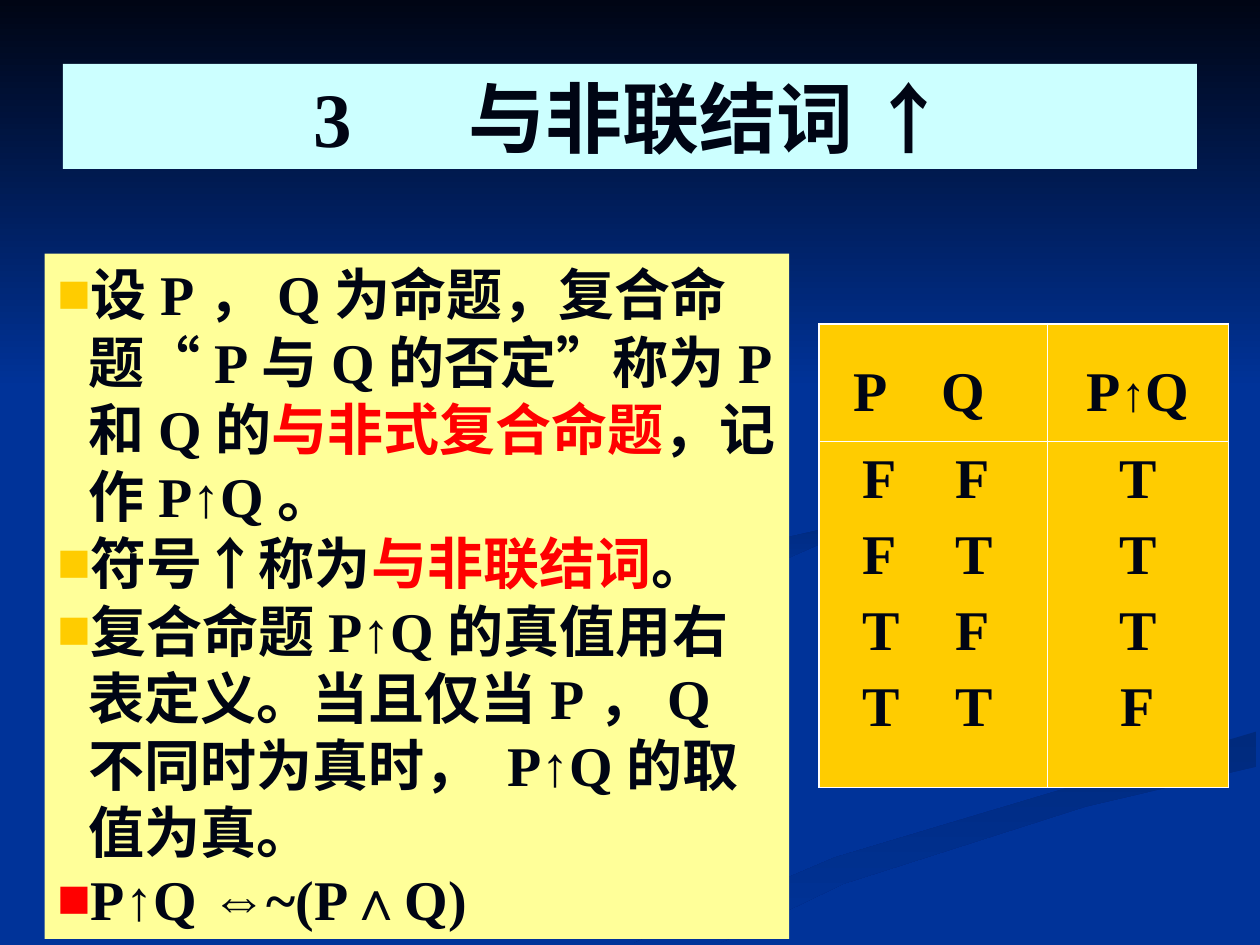
"""Build the slide on the NAND connective, with its definition and truth table."""
from lxml import etree
from pptx import Presentation
from pptx.dml.color import RGBColor
from pptx.enum import shapes, text
from pptx.oxml import ns
from pptx.util import Pt

NAVY = RGBColor(0x00, 0x33, 0x99)
INK = RGBColor(0x00, 0x05, 0x14)
RED = RGBColor(0xFF, 0x00, 0x00)
GOLD = RGBColor(0xFF, 0xCC, 0x00)
PALE_YELLOW = RGBColor(0xFF, 0xFF, 0x99)
PALE_CYAN = RGBColor(0xCC, 0xFF, 0xFF)
WHITE = RGBColor(0xFF, 0xFF, 0xFF)
SHADE = RGBColor(0x00, 0x2A, 0x7D)
SERIF = "Times New Roman"

LOWER_RIBBON = [(362, 539), (411, 539), (482, 505), (620, 461), (718, 438),
                (718, 418), (624, 446), (477, 490)]
UPPER_RIBBON = [(416, 333), (441, 323), (507, 294), (450, 307)]

DEFINITION = [
    (GOLD, [("设P，Q为命题，复合命题“P与Q的否定”称为P和Q的", {}),
            ("与非式复合命题", {"color": RED}), ("，记作P↑Q。", {})]),
    (GOLD, [("符号↑称为", {}), ("与非联结词", {"color": RED}), ("。", {})]),
    (GOLD, [("复合命题P↑Q的真值用右表定义。当且仅当P，Q不同时为真时， P↑Q的取值为真。", {})]),
    (RED, [("P↑Q ", {}), ("⇔", {"face": "Arial"}), ("~(P∧Q)", {})]),
]


def add_child(parent, tag, **attributes):
    """Append a DrawingML element and return it."""
    return etree.SubElement(parent, ns.qn(tag), attributes)


def shade(shape, start, end):
    """Give a shape a downward gradient without line or shadow."""
    shape.shadow.inherit = False
    shape.line.fill.background()
    shape.fill.gradient()
    shape.fill.gradient_angle = 270
    for stop, color in zip(shape.fill.gradient_stops, (start, end)):
        stop.color.rgb = color


def add_ribbon(slide, outline):
    """Draw one background ribbon."""
    builder = slide.shapes.build_freeform(*outline[0], scale=Pt(1))
    builder.add_line_segments(outline[1:], close=True)
    shade(builder.convert_to_shape(), SHADE, NAVY)


def add_rectangle(slide, left, top, width, height):
    """Add a rectangle."""
    return slide.shapes.add_shape(shapes.MSO_SHAPE.RECTANGLE,
                                  Pt(left), Pt(top), Pt(width), Pt(height))


def add_panel(slide, left, top, width, height, color):
    """Add a plain coloured text panel and return its text frame."""
    panel = add_rectangle(slide, left, top, width, height)
    panel.shadow.inherit = False
    panel.line.fill.background()
    panel.fill.solid()
    panel.fill.fore_color.rgb = color
    panel.text_frame.word_wrap = True
    return panel.text_frame


def add_tab(paragraph, position):
    """Set a left tab stop."""
    stops = add_child(paragraph._p.get_or_add_pPr(), "a:tabLst")
    add_child(stops, "a:tab", pos=str(Pt(position)), algn="l")


def add_bullet(paragraph, color):
    """Hang the paragraph on a coloured square."""
    properties = paragraph._p.get_or_add_pPr()
    properties.set("marL", str(Pt(18)))
    properties.set("indent", str(-Pt(18)))
    add_child(add_child(properties, "a:buClr"), "a:srgbClr", val=str(color))
    add_child(properties, "a:buFont", typeface=SERIF)
    add_child(properties, "a:buChar", char="■")


def style(paragraph, size=32, align=text.PP_ALIGN.LEFT):
    """Set the bold serif type of a paragraph."""
    paragraph.alignment = align
    paragraph.font.size = Pt(size)
    paragraph.font.name = SERIF
    paragraph.font.bold = True
    paragraph.font.color.rgb = INK


def add_runs(paragraph, pieces):
    """Add runs, each with its departures from the paragraph font."""
    for words, changes in pieces:
        run = paragraph.add_run()
        run.text = words
        if "color" in changes:
            run.font.color.rgb = changes["color"]
        if "face" in changes:
            run.font.name = changes["face"]
        if "size" in changes:
            run.font.size = Pt(changes["size"])


def add_title(slide):
    """Add the heading band."""
    band = add_panel(slide, 36, 36.5, 648, 60, PALE_CYAN)
    band.vertical_anchor = text.MSO_ANCHOR.MIDDLE
    band.margin_left = Pt(143)
    heading = band.paragraphs[0]
    add_tab(heading, 88.5)
    style(heading, 44)
    add_runs(heading, [("3\t与非联结词 ↑", {})])


def add_definition(slide):
    """Add the bulleted definition."""
    frame = add_panel(slide, 25.5, 145, 425.5, 391.5, PALE_YELLOW)
    frame.vertical_anchor = text.MSO_ANCHOR.TOP
    for index, (bullet_color, pieces) in enumerate(DEFINITION):
        item = frame.add_paragraph() if index else frame.paragraphs[0]
        add_bullet(item, bullet_color)
        style(item)
        add_runs(item, pieces)


def add_border(cell, side, width):
    """Draw one white cell edge."""
    edge = add_child(cell._tc.get_or_add_tcPr(), "a:ln" + side, w=str(Pt(width)))
    add_child(add_child(edge, "a:solidFill"), "a:srgbClr", val=str(WHITE))


def fill_cell(cell, lines, tab=None, line_spacing=None):
    """Write a cell's lines, tabbed into two columns or centred."""
    frame = cell.text_frame
    for index, pieces in enumerate(lines):
        line = frame.add_paragraph() if index else frame.paragraphs[0]
        if index:
            line.space_before = Pt(8)
        if line_spacing:
            line.line_spacing = line_spacing
        if tab:
            add_tab(line, tab)
        style(line, align=text.PP_ALIGN.LEFT if tab else text.PP_ALIGN.CENTER)
        add_runs(line, pieces)


def add_truth_table(slide):
    """Add the truth table of P↑Q."""
    table = slide.shapes.add_table(2, 2, Pt(468), Pt(185), Pt(234), Pt(265)).table
    for column, width in zip(table.columns, (130.5, 103.5)):
        column.width = Pt(width)
    for row, height in zip(table.rows, (67.5, 197.5)):
        row.height = Pt(height)
    for r in range(2):
        for c in range(2):
            cell = table.cell(r, c)
            for side, outer in zip("LRTB", (c == 0, c == 1, r == 0, r == 1)):
                add_border(cell, side, 1.08 if outer else 0.45)
            cell.fill.solid()
            cell.fill.fore_color.rgb = GOLD
    table.cell(0, 0).margin_left = Pt(20)
    table.cell(1, 0).margin_left = Pt(25)
    fill_cell(table.cell(0, 0), [[("P\tQ", {})]], 50, 1.5)
    fill_cell(table.cell(0, 1), [[("P", {}), ("↑", {"size": 28}), ("Q", {})]], None, 1.5)
    fill_cell(table.cell(1, 0), [[(f"{p}\t{q}", {})] for p in "FT" for q in "FT"], 53)
    fill_cell(table.cell(1, 1), [[(value, {})] for value in "TTTF"])


def main():
    """Build and save the slide."""
    deck = Presentation()
    deck.slide_width, deck.slide_height = Pt(720), Pt(540)
    slide = deck.slides.add_slide(deck.slide_layouts[6])
    slide.background.fill.solid()
    slide.background.fill.fore_color.rgb = NAVY
    for outline in (LOWER_RIBBON, UPPER_RIBBON):
        add_ribbon(slide, outline)
    shade(add_rectangle(slide, 0, 0, 720, 222), INK, NAVY)
    add_definition(slide)
    add_title(slide)
    add_truth_table(slide)
    deck.save("out.pptx")


if __name__ == "__main__":
    main()
